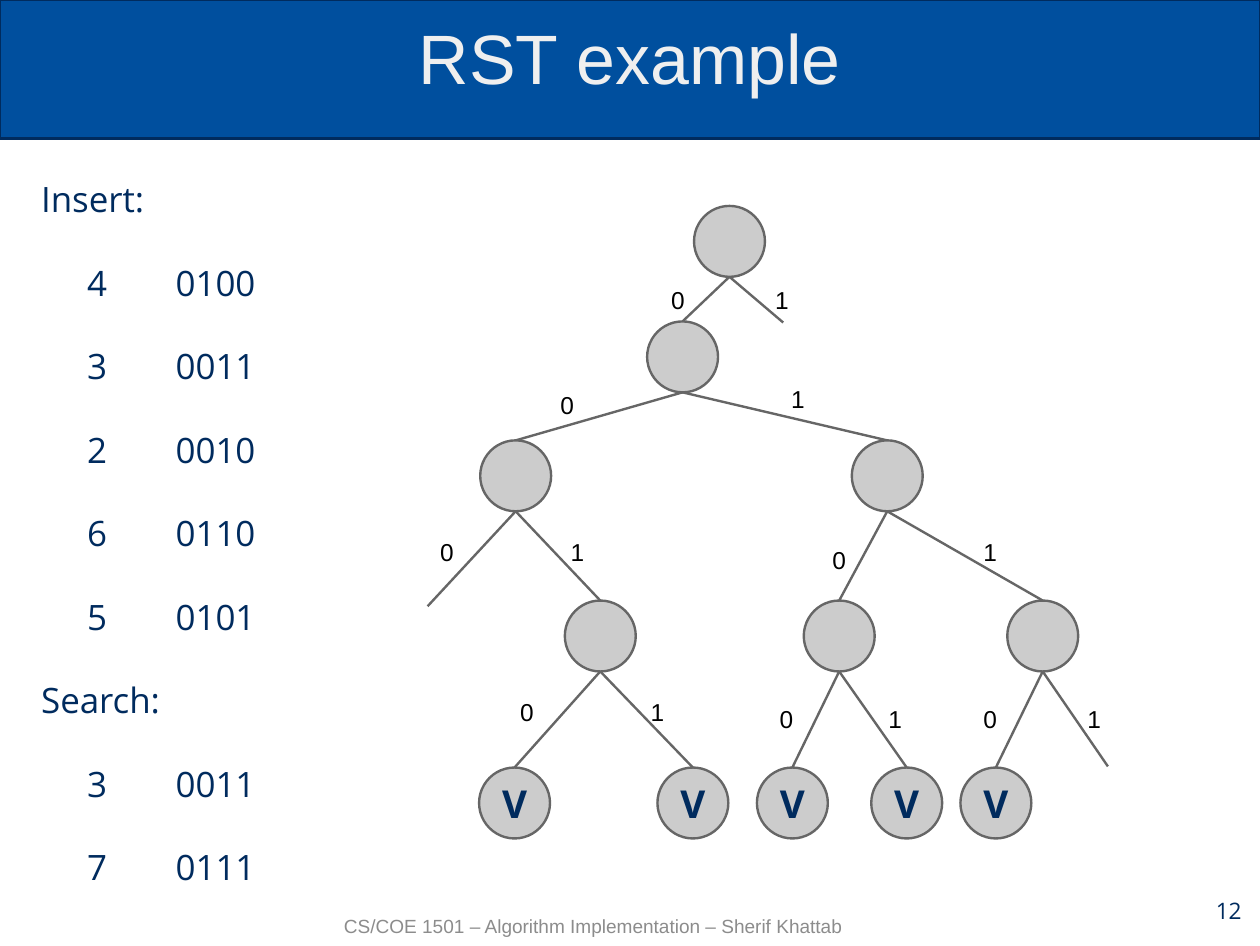
"""Builds the RST example slide: key list on the left, search trie on the right."""
from lxml.etree import SubElement
from pptx import Presentation
from pptx.dml.color import RGBColor
from pptx.enum.shapes import MSO_CONNECTOR as CONN, MSO_SHAPE as SHAPE
from pptx.enum.text import MSO_ANCHOR as ANCHOR, PP_ALIGN as ALIGN
from pptx.oxml.ns import qn
from pptx.util import Inches, Pt

NAVY, BLUE, GRAY, DARK = "002B5E", "004F9E", "CCCCCC", "666666"
SIZE = 0.62
ROW_TOP, ROW_H = 1.26, 0.73

ROWS = ["Insert:", ("4", "0100"), ("3", "0011"), ("2", "0010"), ("6", "0110"),
        ("5", "0101"), "Search:", ("3", "0011"), ("7", "0111")]

NODES = {
    "root": (6.38, 1.8), "0": (5.97, 2.81),
    "00": (4.51, 3.85), "01": (7.76, 3.85),
    "001": (5.25, 5.25), "010": (7.34, 5.25), "011": (9.12, 5.25),
    "0010": (4.5, 6.71), "0011": (6.06, 6.71), "0100": (6.93, 6.71),
    "0101": (7.93, 6.71), "0110": (8.71, 6.71),
}

EMPTY_ENDS = {"1": (6.85, 2.82), "000": (3.74, 5.3), "0111": (9.69, 6.7)}

BIT_LABELS = {
    "0": (5.76, 2.49), "1": (6.67, 2.49),
    "00": (4.79, 3.41), "01": (6.81, 3.36),
    "000": (3.74, 4.69), "001": (4.88, 4.69),
    "010": (7.17, 4.76), "011": (8.49, 4.69),
    "0010": (4.44, 6.09), "0011": (5.58, 6.09),
    "0100": (6.71, 6.15), "0101": (7.66, 6.15),
    "0110": (8.49, 6.15), "0111": (9.4, 6.15),
}


def rgb(value):
    return RGBColor.from_string(value)


class Deck:
    def __init__(self, width, height):
        self.prs = Presentation()
        self.prs.slide_width, self.prs.slide_height = Inches(width), Inches(height)
        self.s = self.prs.slides.add_slide(self.prs.slide_layouts[6])

    def set_text(self, sp, text, size, color, font="Open Sans", align=ALIGN.LEFT,
                 anchor=ANCHOR.MIDDLE, inset=(0.11, 0.11), spacing=None, before=0, bold=False):
        tf = sp.text_frame
        tf.word_wrap = True
        tf.vertical_anchor = anchor
        tf.margin_left = tf.margin_right = Inches(inset[0])
        tf.margin_top = tf.margin_bottom = Inches(inset[1])
        p = tf.paragraphs[0]
        p.text = text
        p.alignment, p.line_spacing, p.space_before = align, spacing, Pt(before)
        f = p.runs[0].font
        f.name, f.size, f.bold = font, Pt(size), bold
        f.color.rgb = rgb(color)

    def text(self, x, y, w, h, text, size, color, **style):
        sp = self.s.shapes.add_textbox(Inches(x), Inches(y), Inches(w), Inches(h))
        self.set_text(sp, text, size, color, **style)

    def shape(self, kind, x, y, w, h, fill, line):
        sp = self.s.shapes.add_shape(kind, Inches(x), Inches(y), Inches(w), Inches(h))
        sp.shadow.inherit = False
        sp.fill.solid()
        sp.fill.fore_color.rgb = rgb(fill)
        sp.line.color.rgb = rgb(line)
        sp.line.width = Pt(1.5)
        return sp

    def node(self, x, y, label=None):
        sp = self.shape(SHAPE.OVAL, x - SIZE / 2, y, SIZE, SIZE, GRAY, DARK)
        if label:
            self.set_text(sp, label, 24.2, NAVY, align=ALIGN.CENTER, bold=True)

    def edge(self, start, end):
        c = self.s.shapes.add_connector(CONN.STRAIGHT, *map(Inches, start + end))
        c.line.color.rgb = rgb(DARK)
        c.line.width = Pt(1.5)
        SubElement(c._element.spPr, qn("a:effectLst"))

    def entry(self, x, row, w, text, align=ALIGN.CENTER):
        self.text(x, ROW_TOP + row * ROW_H, w, ROW_H, text, 22, NAVY, align=align,
                  anchor=ANCHOR.TOP, spacing=1.5, before=6)


def main():
    deck = Deck(11.02, 8.27)
    deck.shape(SHAPE.RECTANGLE, 0, 0, 11.02, 1.21, BLUE, NAVY)
    deck.text(0.55, 0.24, 9.92, 0.73, "RST example", 44, "EFEFEF", font="Arial",
              align=ALIGN.CENTER, anchor=ANCHOR.BOTTOM)

    for i, row in enumerate(ROWS):
        if isinstance(row, str):
            deck.entry(0.25, i, 1.49, row, ALIGN.LEFT)
        else:
            deck.entry(0.54, i, 0.62, row[0])
            deck.entry(1.28, i, 1.21, row[1])

    for code, (x, y) in BIT_LABELS.items():
        px, py = NODES[code[:-1] or "root"]
        deck.edge((px, py + SIZE), NODES.get(code) or EMPTY_ENDS[code])
        deck.text(x, y, 0.52, 0.26, code[-1], 15.4, "000000", font="Arial")
    for code, (x, y) in NODES.items():
        deck.node(x, y, "V" if code.isdigit() and len(code) == 4 else None)

    deck.text(10.31, 7.64, 0.66, 0.63, "12", 14.3, NAVY, align=ALIGN.RIGHT)
    deck.text(2.68, 7.9, 5.02, 0.44, "CS/COE 1501 – Algorithm Implementation – Sherif Khattab",
              12, "8C8C8C", font="Arial", align=ALIGN.CENTER, inset=(0.1, 0.05), spacing=0.69)
    deck.prs.save("out.pptx")


if __name__ == "__main__":
    main()
